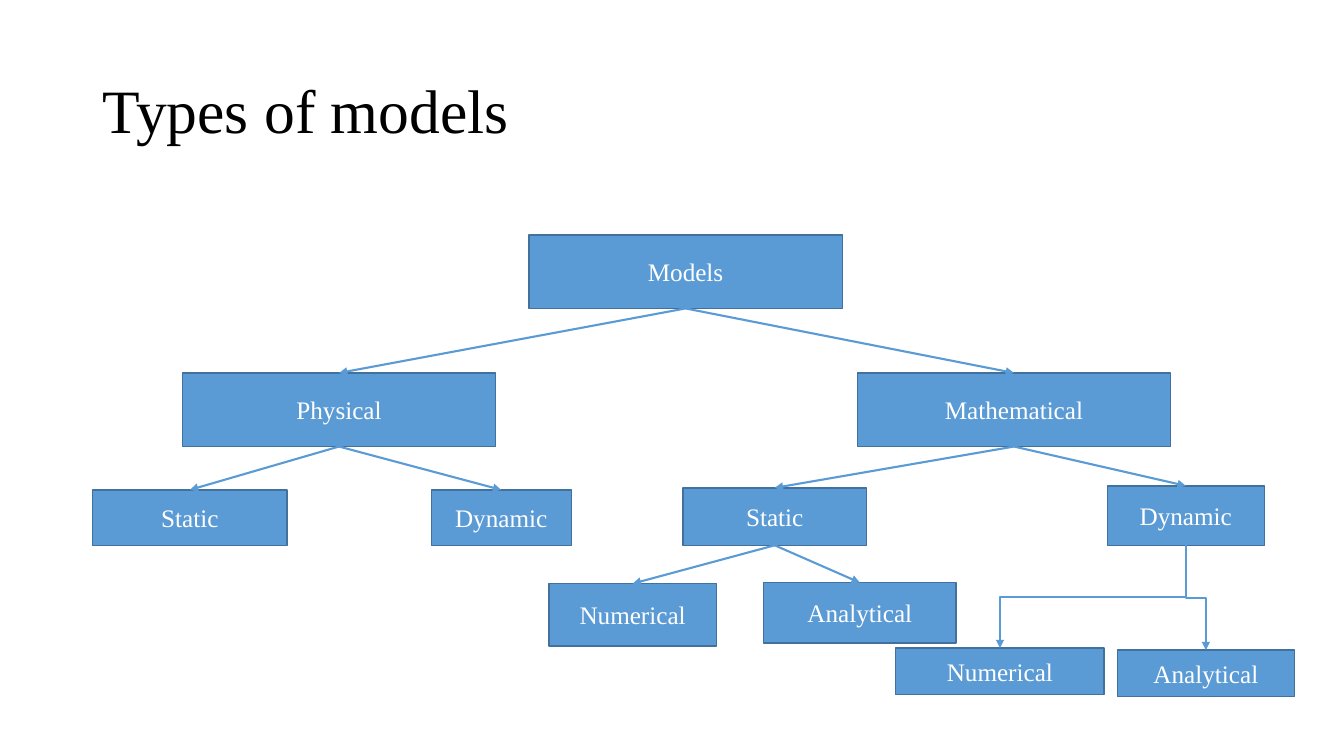
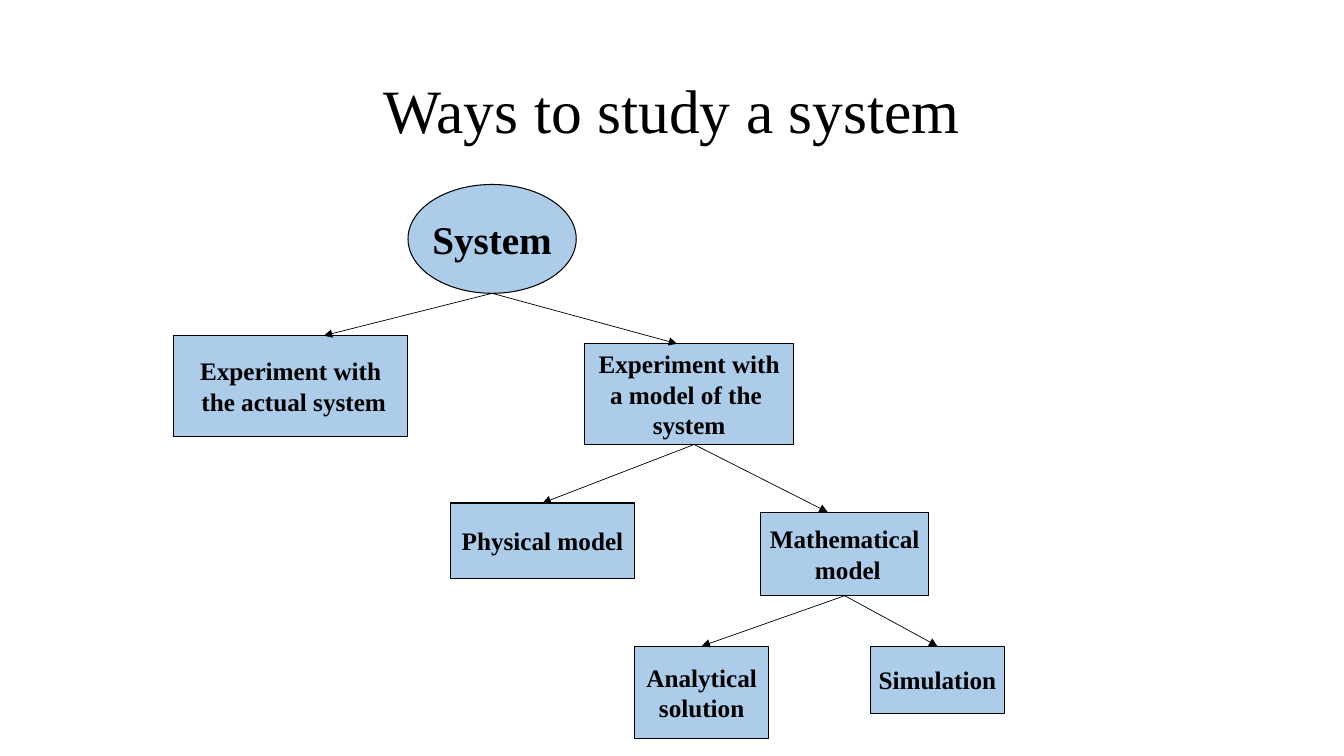
from lxml import etree
from pptx import Presentation
from pptx.dml.color import RGBColor
from pptx.enum import shapes, text
from pptx.oxml import ns
from pptx.util import Inches, Pt

FONT = "Times New Roman"
COLORS = {"blue": "5B9BD5", "edge": "41719C", "black": "000000", "white": "FFFFFF"}
RECTANGLE, OVAL = shapes.MSO_SHAPE.RECTANGLE, shapes.MSO_SHAPE.OVAL
STRAIGHT, ELBOW = shapes.MSO_CONNECTOR.STRAIGHT, shapes.MSO_CONNECTOR.ELBOW
TOP_SITE, BOTTOM_SITE = 0, 2

# Nodes: key -> (text, (left, top, width, height))
# Links: (parent, child, connector, shift of the start, shift of the end)
SLIDES = [
    {
        "title": "Types of models",
        "align": text.PP_ALIGN.LEFT,
        "style": {"edge": "edge", "edge_width": 1, "font": "white", "bold": False,
                  "wrap": True, "link": "blue", "link_width": 1.5},
        "nodes": {
            "models": ("Models", (5.25, 2.33, 3.11, 0.73)),
            "physical": ("Physical", (1.81, 3.7, 3.11, 0.73)),
            "mathematical": ("Mathematical", (8.51, 3.7, 3.11, 0.73)),
            "physical static": ("Static", (0.92, 4.86, 1.93, 0.55)),
            "physical dynamic": ("Dynamic", (4.28, 4.86, 1.39, 0.55)),
            "static": ("Static", (6.78, 4.84, 1.82, 0.57)),
            "dynamic": ("Dynamic", (10.99, 4.82, 1.56, 0.59)),
            "static numerical": ("Numerical", (5.45, 5.79, 1.66, 0.62)),
            "dynamic numerical": ("Numerical", (8.89, 6.43, 2.07, 0.46)),
            "static analytical": ("Analytical", (7.58, 5.78, 1.91, 0.6)),
            "dynamic analytical": ("Analytical", (11.09, 6.45, 1.76, 0.46)),
        },
        "links": [
            ("models", "physical", STRAIGHT, 0, 0),
            ("models", "mathematical", STRAIGHT, 0, 0),
            ("physical", "physical static", STRAIGHT, 0, 0),
            ("physical", "physical dynamic", STRAIGHT, 0, 0),
            ("mathematical", "static", STRAIGHT, 0, 0),
            ("mathematical", "dynamic", STRAIGHT, 0, 0),
            ("static", "static numerical", STRAIGHT, 0, 0),
            ("static", "static analytical", STRAIGHT, 0, 0),
            ("dynamic", "dynamic numerical", ELBOW, 0, 0),
            ("dynamic", "dynamic analytical", ELBOW, 0, 0),
        ],
    },
    {
        "title": "Ways to study a system",
        "align": text.PP_ALIGN.CENTER,
        "style": {"edge": "black", "edge_width": 0.75, "font": "black", "bold": True,
                  "wrap": False, "link": "black", "link_width": 0.5,
                  "opacity": 50, "root": "system", "root_size": 28},
        "nodes": {
            "system": ("System", (4.05, 1.83, 1.67, 1.08)),
            "actual": ("Experiment with\n the actual system", (1.72, 3.33, 2.33, 1)),
            "model": ("Experiment with\na model of the \nsystem", (5.8, 3.41, 2.08, 1)),
            "physical": ("Physical model", (4.47, 4.99, 1.83, 0.75)),
            "mathematical": ("Mathematical\n model", (7.55, 5.08, 1.67, 0.83)),
            "analytical": ("Analytical\nsolution", (6.3, 6.41, 1.33, 0.92)),
            "simulation": ("Simulation", (8.64, 6.41, 1.33, 0.67)),
        },
        "links": [
            ("system", "actual", STRAIGHT, 0, 0.33),
            ("system", "model", STRAIGHT, 0, -0.12),
            ("model", "physical", STRAIGHT, 0.05, 0),
            ("model", "mathematical", STRAIGHT, 0.05, -0.17),
            ("mathematical", "analytical", STRAIGHT, 0, 0),
            ("mathematical", "simulation", STRAIGHT, 0, 0),
        ],
    },
]


def color(name):
    return RGBColor.from_string(COLORS[name])


def set_font(paragraph, size, color_name, bold=False):
    font = paragraph.font
    font.name, font.size, font.bold = FONT, Pt(size), bold
    font.color.rgb = color(color_name)


def set_title(slide, title, align):
    shape = slide.shapes.title
    shape.left, shape.top = Inches(0.92), Inches(0.4)
    shape.width, shape.height = Inches(11.5), Inches(1.45)
    frame = shape.text_frame
    frame.text = title
    frame.word_wrap = True
    frame.auto_size = text.MSO_AUTO_SIZE.NONE
    frame.vertical_anchor = text.MSO_ANCHOR.MIDDLE
    paragraph = frame.paragraphs[0]
    paragraph.alignment, paragraph.line_spacing = align, 0.9
    set_font(paragraph, 44, "black")


def add_node(slide, label, box, style, is_root):
    shape = slide.shapes.add_shape(OVAL if is_root else RECTANGLE, *map(Inches, box))
    shape.shadow.inherit = False
    shape.fill.solid()
    shape.fill.fore_color.rgb = color("blue")
    if "opacity" in style:
        fill_color = shape._element.spPr.find(".//" + ns.qn("a:srgbClr"))
        alpha = etree.SubElement(fill_color, ns.qn("a:alpha"))
        alpha.set("val", str(style["opacity"] * 1000))
    shape.line.color.rgb = color(style["edge"])
    shape.line.width = Pt(style["edge_width"])
    frame = shape.text_frame
    frame.text = label
    frame.word_wrap = style["wrap"]
    frame.vertical_anchor = text.MSO_ANCHOR.MIDDLE
    for paragraph in frame.paragraphs:
        paragraph.alignment = text.PP_ALIGN.CENTER
        set_font(paragraph, style["root_size"] if is_root else 18,
                 style["font"], style["bold"])
    return shape


def add_elbow(slide, x1, y1, x2, y2):
    """Add an elbow that leaves downwards: a sideways one, turned about its centre."""
    length, breadth = y2 - y1, abs(x2 - x1)
    left, top = (x1 + x2 - length) // 2, (y1 + y2 - breadth) // 2
    ends, turn = (left, left + length), 90
    if x2 > x1:
        ends, turn = ends[::-1], 270
    connector = slide.shapes.add_connector(ELBOW, ends[0], top, ends[1], top + breadth)
    connector._element.spPr.find(ns.qn("a:xfrm")).set("rot", str(turn * 60000))
    return connector


def add_link(slide, parent, child, kind, start_shift, end_shift, style):
    x1 = parent.left + parent.width // 2 + Inches(start_shift)
    x2 = child.left + child.width // 2 + Inches(end_shift)
    y1, y2 = parent.top + parent.height, child.top
    if kind == ELBOW:
        connector = add_elbow(slide, x1, y1, x2, y2)
    else:
        connector = slide.shapes.add_connector(kind, x1, y1, x2, y2)
        if not start_shift and parent.auto_shape_type == RECTANGLE:
            connector.begin_connect(parent, BOTTOM_SITE)
        if not end_shift:
            connector.end_connect(child, TOP_SITE)
    connector.line.color.rgb = color(style["link"])
    connector.line.width = Pt(style["link_width"])
    properties = connector._element.spPr
    arrow = etree.SubElement(properties.find(ns.qn("a:ln")), ns.qn("a:tailEnd"))
    arrow.set("type", "triangle")
    etree.SubElement(properties, ns.qn("a:effectLst"))


def main():
    presentation = Presentation()
    presentation.slide_width, presentation.slide_height = Inches(13.34), Inches(7.5)
    for content in SLIDES:
        slide = presentation.slides.add_slide(presentation.slide_layouts[5])
        style = content["style"]
        set_title(slide, content["title"], content["align"])
        nodes = {key: add_node(slide, label, box, style, key == style.get("root"))
                 for key, (label, box) in content["nodes"].items()}
        for parent, child, *route in content["links"]:
            add_link(slide, nodes[parent], nodes[child], *route, style)
    presentation.save("out.pptx")


if __name__ == "__main__":
    main()
